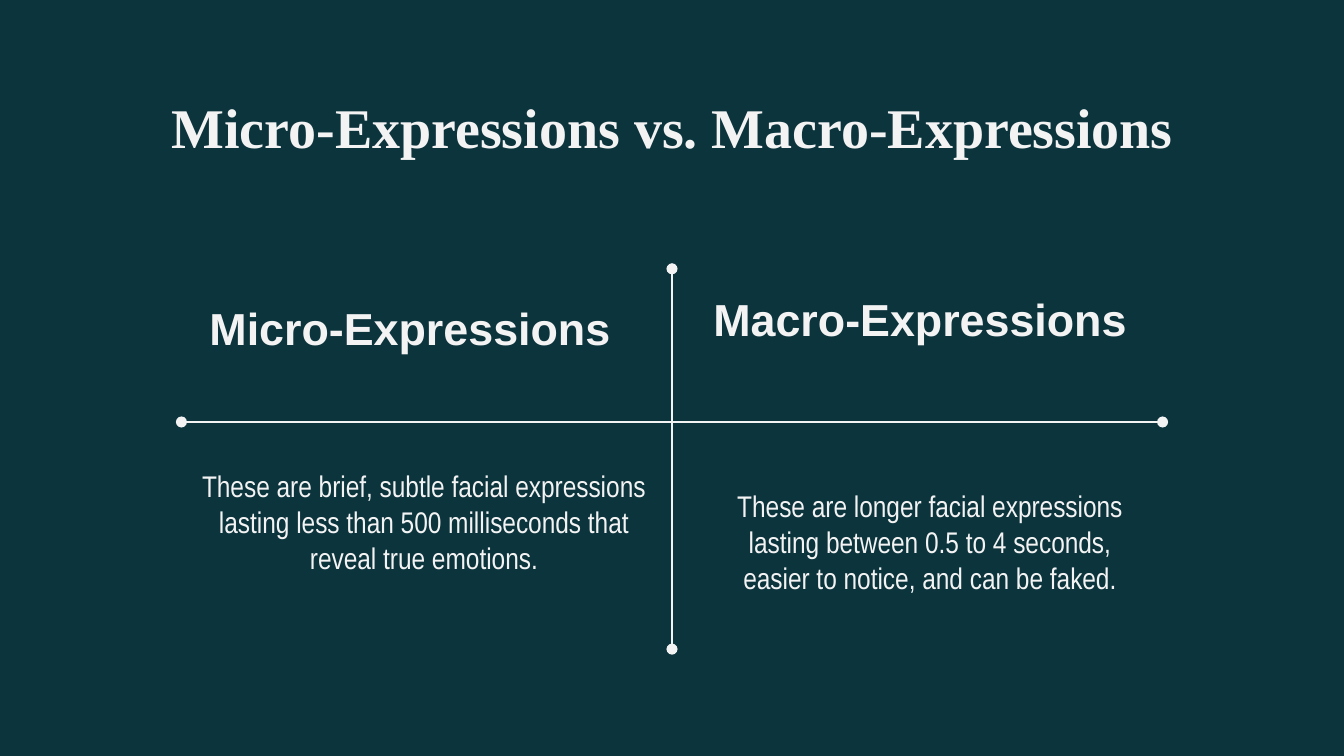
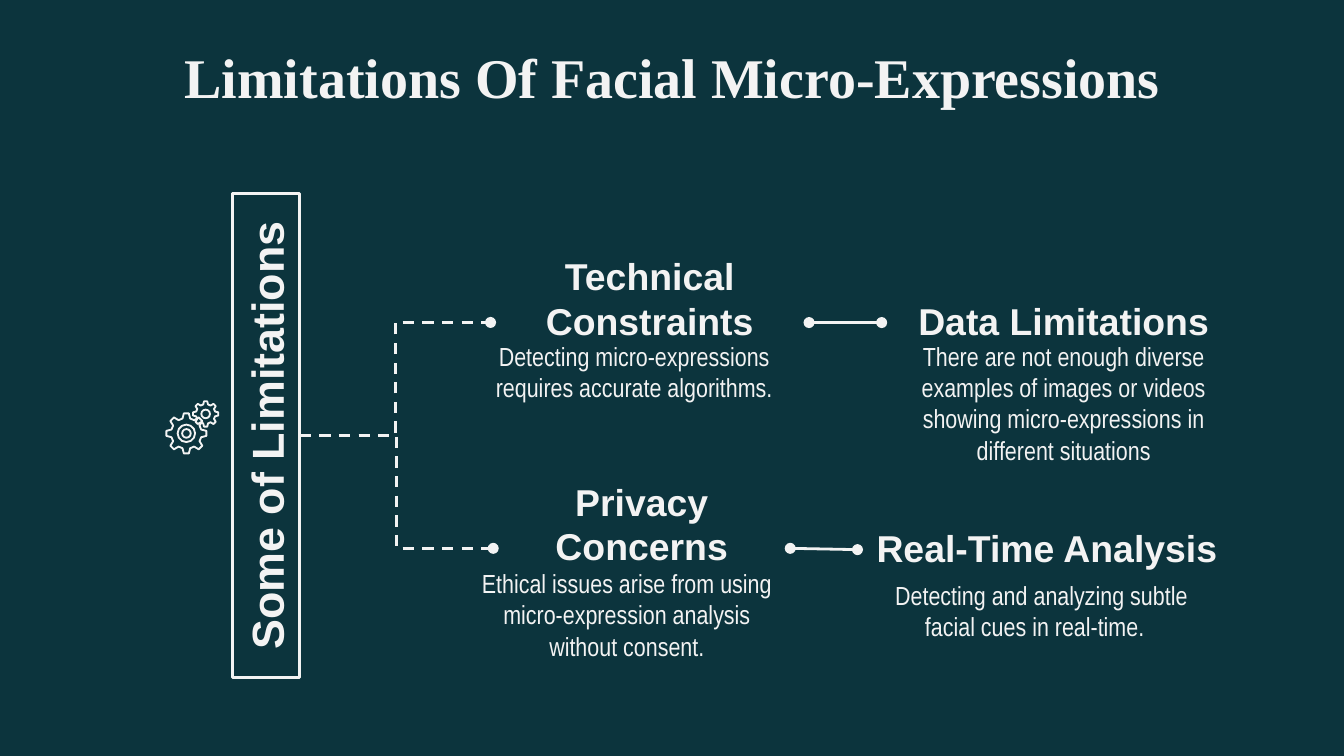
from math import cos, pi, sin

from pptx import Presentation
from pptx.dml.color import RGBColor
from pptx.enum.dml import MSO_LINE
from pptx.enum.shapes import MSO_CONNECTOR, MSO_SHAPE
from pptx.enum.text import MSO_ANCHOR, PP_ALIGN
from pptx.oxml.ns import qn
from pptx.util import Inches, Pt
from lxml.etree import SubElement

presentation = Presentation()
presentation.slide_width = Inches(10)
presentation.slide_height = Inches(5.625)
CELL = presentation.slide_width / 100

color = RGBColor.from_string
LIGHT = color("F3F3F3")
DARK = color("0C343D")

STYLES = {
    "title": {"name": "Times New Roman", "size": Pt(30), "bold": True},
    "heading": {"name": "Arial", "size": Pt(24), "bold": True},
    "subheading": {"name": "Arial", "size": Pt(20), "bold": True},
    "body": {"name": "Arial Narrow", "size": Pt(16), "bold": False},
    "detail": {"name": "Arial Narrow", "size": Pt(14), "bold": False},
}


def add_text(slide, text, style, grid_box, indents={}, preset=None):
    box = [round(cells * CELL) for cells in grid_box]
    if preset:
        shape = slide.shapes.add_shape(preset, *box)
        shape.shadow.inherit = False
        shape.fill.background()
    else:
        shape = slide.shapes.add_textbox(*box)
    anchor = MSO_ANCHOR.BOTTOM if "heading" in style else MSO_ANCHOR.TOP
    frame_format = {"word_wrap": True, "vertical_anchor": anchor}
    for side in ("left", "top", "right", "bottom"):
        frame_format[f"margin_{side}"] = Inches(0.1)
    for name, value in frame_format.items():
        setattr(shape.text_frame, name, value)
    paragraph = shape.text_frame.paragraphs[0]
    paragraph.text = text
    paragraph.alignment = PP_ALIGN.CENTER
    for name, cells in indents.items():
        paragraph._p.get_or_add_pPr().set(name, str(round(cells * CELL)))
    for name, value in STYLES[style].items():
        setattr(paragraph.font, name, value)
    paragraph.font.color.rgb = LIGHT
    return shape


def add_line(slide, ends, kind=MSO_CONNECTOR.STRAIGHT, dash=None, dots=("headEnd", "tailEnd")):
    connector = slide.shapes.add_connector(kind, *[round(cells * CELL) for cells in ends])
    connector.line.color.rgb = LIGHT
    connector.line.width = Pt(1.5)
    if dash:
        connector.line.dash_style = dash
    properties = connector._element.spPr
    for dot in dots:
        SubElement(properties.find(qn("a:ln")), qn(f"a:{dot}"), type="oval")
    SubElement(properties, qn("a:effectLst"))


slides = []
for title, top, height in [
    ("Micro-Expressions vs. Macro-Expressions", 5.9, 6.3),
    ("Limitations Of Facial Micro-Expressions", 2.2, 9.9),
]:
    slide = presentation.slides.add_slide(presentation.slide_layouts[6])
    slide.background.fill.solid()
    slide.background.fill.fore_color.rgb = DARK
    add_text(slide, title, "title", (7.9, top, 84.3, height))
    slides.append(slide)
comparison, limitations = slides

for text, style, box, indents in [
    ("Micro-Expressions", "heading", (13.5, 18.4, 34, 9), {}),
    ("Macro-Expressions", "heading", (50.5, 20.9, 35.9, 5.8), {}),
    ("These are brief, subtle facial expressions lasting less than 500 milliseconds "
     "that reveal true emotions.", "body", (13.6, 33.8, 35.9, 12.3), {}),
    ("These are longer facial expressions lasting between 0.5 to 4 seconds, "
     "easier to notice, and can be faked.", "body", (50.5, 35.3, 35.9, 10.8), {"marL": 1.5}),
]:
    add_text(comparison, text, style, box, indents)

for ends in [(50, 20, 50, 48.3), (13.5, 31.4, 86.5, 31.4)]:
    add_line(comparison, ends)

TEETH = 8
for center_x, center_y, radius, ring_radii in [
    (13.87, 32.25, 1.5, (0.65, 0.32)),
    (15.3, 30.8, 0.95, (0.32,)),
]:
    outline = []
    for tooth in range(TEETH):
        for offset, share in [(-0.32, 0.76), (-0.16, 1), (0.16, 1), (0.32, 0.76)]:
            angle = 2 * pi * (tooth + offset) / TEETH
            outline.append((round((center_x + radius * share * cos(angle)) * CELL),
                            round((center_y + radius * share * sin(angle)) * CELL)))
    builder = limitations.shapes.build_freeform(*outline[0])
    builder.add_line_segments(outline[1:], close=True)
    gear_parts = [builder.convert_to_shape()]
    for ring in ring_radii:
        box = (center_x - ring, center_y - ring, 2 * ring, 2 * ring)
        gear_parts.append(limitations.shapes.add_shape(
            MSO_SHAPE.OVAL, *[round(cells * CELL) for cells in box]))
    for part in gear_parts:
        part.shadow.inherit = False
        part.fill.background()
        part.line.color.rgb = LIGHT
        part.line.width = Pt(1)

banner = add_text(limitations, "Some of Limitations", "heading",
                  (1.8, 29.9, 36, 5), preset=MSO_SHAPE.RECTANGLE)
banner.rotation = 270
banner.text_frame.vertical_anchor = MSO_ANCHOR.MIDDLE
banner.line.color.rgb = LIGHT
banner.line.width = Pt(1.5)

for end_x, end_y in [(36.7, 40.8), (36.5, 24)]:
    add_line(limitations, (22.3, 32.4, end_x, end_y), MSO_CONNECTOR.ELBOW,
             MSO_LINE.DASH, ("tailEnd",))

for heading, heading_box, detail, detail_box, indents in [
    ("Technical Constraints", (36.5, 21.5, 23.7, 5),
     "Detecting micro-expressions requires accurate algorithms.",
     (34.1, 24.3, 26.2, 8.8), {}),
    ("Data Limitations", (65.6, 21.5, 27.1, 5),
     "There are not enough diverse examples of images or videos showing "
     "micro-expressions in different situations",
     (65.6, 24.3, 27.1, 8.8), {}),
    ("Privacy Concerns", (36.7, 38.3, 22.1, 5),
     "Ethical issues arise from using micro-expression analysis without consent.",
     (34.6, 41.2, 24.1, 8.8), {}),
    ("Real-Time Analysis", (63.8, 38.4, 28.2, 5),
     "Detecting and analyzing subtle facial cues in real-time.",
     (63.8, 42.1, 26.4, 7.9), {"indent": 1}),
]:
    add_text(limitations, heading, "subheading", heading_box)
    add_text(limitations, detail, "detail", detail_box, indents)

for ends in [(60.2, 24, 65.6, 24), (63.8, 40.9, 58.8, 40.8)]:
    add_line(limitations, ends)

presentation.save("out.pptx")
